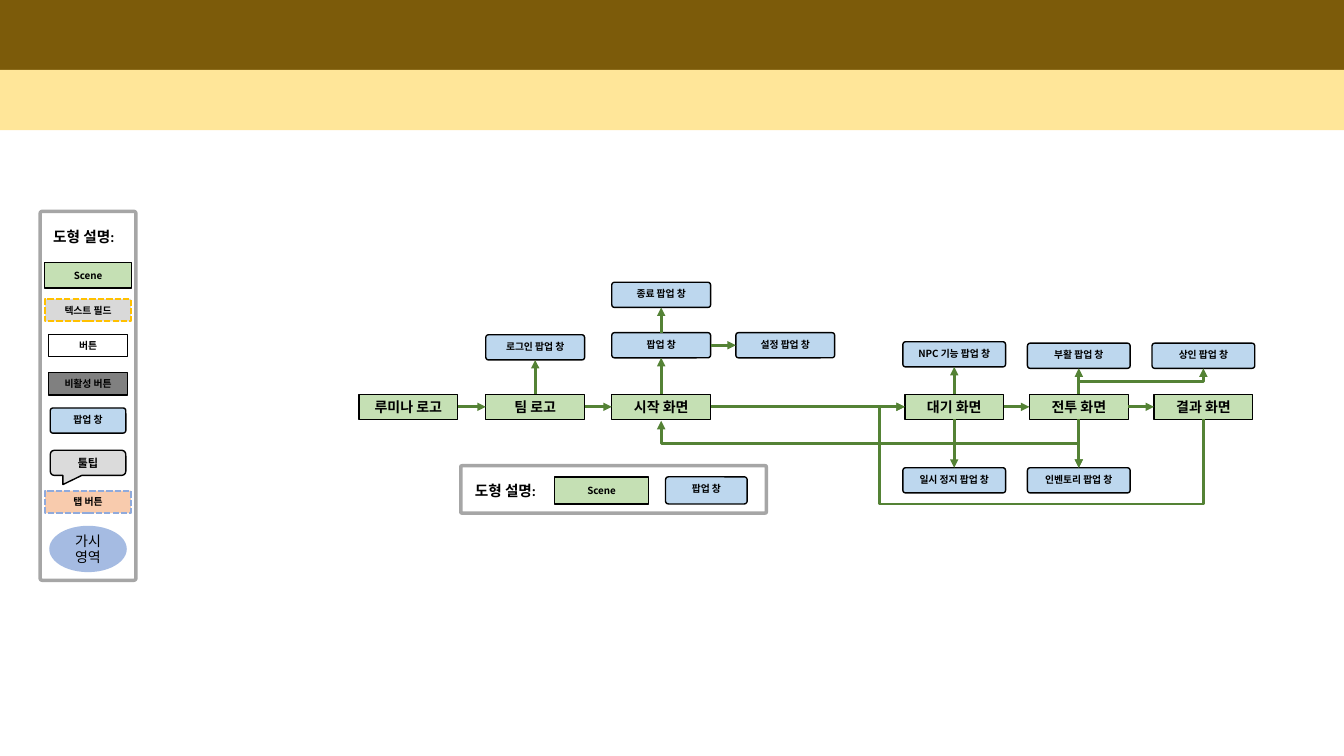
from lxml import etree
from pptx import Presentation
from pptx.dml.color import RGBColor
from pptx.enum.dml import MSO_LINE
from pptx.enum.shapes import MSO_CONNECTOR, MSO_SHAPE
from pptx.enum.text import MSO_ANCHOR, PP_ALIGN
from pptx.oxml.ns import qn
from pptx.util import Pt

RECT, ROUND, OVAL = MSO_SHAPE.RECTANGLE, MSO_SHAPE.ROUNDED_RECTANGLE, MSO_SHAPE.OVAL
CALLOUT = MSO_SHAPE.ROUNDED_RECTANGULAR_CALLOUT
STRAIGHT, ELBOW = MSO_CONNECTOR.STRAIGHT, MSO_CONNECTOR.ELBOW
MIDDLE, UPPER = MSO_ANCHOR.MIDDLE, MSO_ANCHOR.TOP
CENTER, LEFT_ALIGN = PP_ALIGN.CENTER, PP_ALIGN.LEFT
SYS_DASH = MSO_LINE.SQUARE_DOT
TOP, LEFT, BOTTOM, RIGHT = range(4)

BLACK = RGBColor(0x00, 0x00, 0x00)
WHITE = RGBColor(0xFF, 0xFF, 0xFF)
BROWN = RGBColor(0x7C, 0x5B, 0x0A)
CREAM = RGBColor(0xFF, 0xE6, 0x99)
SCENE_GREEN = RGBColor(0xC5, 0xE0, 0xB4)
ARROW_GREEN = RGBColor(0x54, 0x82, 0x35)
POPUP_BLUE = RGBColor(0xBD, 0xD7, 0xEE)
TOOLTIP_GRAY = RGBColor(0xDB, 0xDB, 0xDB)
FIELD_GRAY = RGBColor(0xD9, 0xD9, 0xD9)
DISABLED_GRAY = RGBColor(0x80, 0x80, 0x80)
FRAME_GRAY = RGBColor(0xA6, 0xA6, 0xA6)
GOLD = RGBColor(0xFF, 0xC0, 0x00)
TAB_ORANGE = RGBColor(0xF8, 0xCB, 0xAD)
TAB_BLUE = RGBColor(0x8F, 0xAA, 0xDC)
AREA_BLUE = RGBColor(0x44, 0x72, 0xC4)
NOTO, CALIBRI = "Noto Sans CJK KR", "Calibri"
TITLE = "도형 설명:"
SCENE_W, BOX_H = 70.6, 18


def put_text(sp, text, size=7, font=NOTO, bold=True, align=CENTER, anchor=MIDDLE):
    tf = sp.text_frame
    tf.word_wrap = True
    tf.vertical_anchor = anchor
    p = tf.paragraphs[0]
    p.alignment = align
    r = p.add_run()
    r.text = text
    r.font.size, r.font.bold, r.font.name = Pt(size), bold, font
    r.font.color.rgb = BLACK
    etree.SubElement(r.font._element, qn("a:ea"), typeface=NOTO)


def add_box(slide, kind, x, y, w, h, fill=None, line=None, width=1, adj=()):
    sp = slide.shapes.add_shape(kind, Pt(x), Pt(y), Pt(w), Pt(h))
    sp.shadow.inherit = False
    for i, value in enumerate(adj):
        sp.adjustments[i] = value
    if fill is None:
        sp.fill.background()
    else:
        sp.fill.solid()
        sp.fill.fore_color.rgb = fill
    if line is None:
        sp.line.fill.background()
    else:
        sp.line.color.rgb = line
        sp.line.width = Pt(width)
    return sp


def add_scene(slide, text, x, y, w=SCENE_W, h=BOX_H, size=10):
    sp = add_box(slide, RECT, x, y, w, h, SCENE_GREEN, BLACK)
    put_text(sp, text, size)
    return sp


def add_popup(slide, text, x, y, w=SCENE_W, h=BOX_H):
    sp = add_box(slide, ROUND, x, y, w, h, POPUP_BLUE, BLACK, adj=[0.109])
    put_text(sp, text, anchor=UPPER)
    return sp


def add_frame(slide, x, y, w, h):
    add_box(slide, ROUND, x, y, w, h, line=FRAME_GRAY, width=2.5, adj=[0.021])


def add_title(slide, x, y, w):
    tb = slide.shapes.add_textbox(Pt(x), Pt(y), Pt(w), Pt(20))
    put_text(tb, TITLE, 10.5, CALIBRI, align=LEFT_ALIGN, anchor=UPPER)


def style_arrow(cxn):
    cxn.line.color.rgb = ARROW_GREEN
    cxn.line.width = Pt(2)
    etree.SubElement(cxn.line._get_or_add_ln(), qn("a:tailEnd"), type="triangle")
    etree.SubElement(cxn._element.spPr, qn("a:effectLst"))


def join(slide, start, start_side, end, end_side):
    cxn = slide.shapes.add_connector(STRAIGHT, 0, 0, 0, 0)
    cxn.begin_connect(start, start_side)
    cxn.end_connect(end, end_side)
    style_arrow(cxn)


def bend(slide, x1, y1, x2, y2, *adj):
    """Elbow arrow that leaves its start vertically; adj are fractions of its height and width."""
    w, h = abs(y2 - y1), abs(x2 - x1)
    left, top = (x1 + x2 - w) / 2, (y1 + y2 - h) / 2
    cxn = slide.shapes.add_connector(ELBOW, Pt(left), Pt(top), Pt(left + w), Pt(top + h))
    spPr = cxn._element.spPr
    xfrm = spPr.find(qn("a:xfrm"))
    xfrm.set("rot", "5400000")
    if y2 < y1:
        xfrm.set("flipH", "1")
    if x2 > x1:
        xfrm.set("flipV", "1")
    geom = spPr.find(qn("a:prstGeom"))
    geom.set("prst", f"bentConnector{len(adj) + 2}")
    guides = geom.find(qn("a:avLst"))
    for i, value in enumerate(adj, 1):
        etree.SubElement(guides, qn("a:gd"), name=f"adj{i}", fmla=f"val {round(value * 100000)}")
    style_arrow(cxn)


def draw_header(slide, w):
    add_box(slide, RECT, 0, 0, w, 51, BROWN)
    add_box(slide, RECT, 0, 49.9, w, 43, CREAM)


def draw_shape_key(slide, x, y, w, h):
    mid = x + w / 2
    add_title(slide, x + 2.2, y + 7.9, 63.4)
    add_scene(slide, "Scene", mid - 31, y + 36.7, 62, size=7)
    for text, dy, width, fill, line, dashed in [
        ("텍스트 필드", 62.6, 61.2, FIELD_GRAY, GOLD, True),
        ("버튼", 87.8, 56.2, WHITE, BLACK, False),
        ("비활성 버튼", 115.2, 56.2, DISABLED_GRAY, BLACK, False),
        ("탭 버튼", 199.5, 61.2, TAB_ORANGE, TAB_BLUE, True),
    ]:
        sp = add_box(slide, RECT, mid - width / 2, y + dy, width, 16, fill, line,
                     1.5 if dashed else 1)
        if dashed:
            sp.line.dash_style = SYS_DASH
        put_text(sp, text)
    add_popup(slide, "팝업 창", mid - 27, y + 140.4, 54)
    tip = add_box(slide, CALLOUT, mid - 27, y + 170.6, 54, 18, TOOLTIP_GRAY, BLACK,
                  adj=[-0.332, 0.862, 0.167])
    put_text(tip, "툴팁", 8)
    area = add_box(slide, OVAL, mid - 27.7, y + 224.6, 55.4, 33.1, AREA_BLUE)
    color = area.fill._xPr.find(qn("a:solidFill"))[0]
    etree.SubElement(color, qn("a:alpha"), val="48000")
    put_text(area, "가시 영역", 10, CALIBRI, bold=False)
    add_frame(slide, x, y, w, h)


def draw_flow_key(slide, x, y, w, h):
    add_scene(slide, "Scene", x + 67, y + 7.9, 67, 19.4, 7)
    add_popup(slide, "팝업 창", x + 146.2, y + 7.9, 58.3, 19.4)
    add_frame(slide, x, y, w, h)
    add_title(slide, x + 2.9, y + 7.9, 68.4)


def draw_flow(slide, x, y):
    scene_y = y + 80
    floor = scene_y + BOX_H
    names = ["루미나 로고", "팀 로고", "시작 화면", "대기 화면", "전투 화면", "결과 화면"]
    offsets = [0, 90.7, 180.7, 390, 479, 568]
    scenes = [add_scene(slide, name, x + dx, scene_y) for name, dx in zip(names, offsets)]
    mids = [x + dx + SCENE_W / 2 for dx in offsets]
    _, team, start, lobby, battle, result = scenes
    _, team_x, start_x, lobby_x, battle_x, result_x = mids

    def popup(text, mid, dy, w=SCENE_W):
        return add_popup(slide, text, mid - w / 2, y + dy, w)

    login = popup("로그인 팝업 창", team_x, 37.5)
    menu = popup("팝업 창", start_x, 36)
    settings = popup("설정 팝업 창", start_x + 88.6, 36)
    leave = popup("종료 팝업 창", start_x, 0)
    npc = popup("NPC 기능 팝업 창", lobby_x, 42.5, 73.4)
    pause = popup("일시 정지 팝업 창", lobby_x, 132.5, 73.4)
    inventory = popup("인벤토리 팝업 창", battle_x, 132.5, 73.4)
    revive = popup("부활 팝업 창", battle_x, 43.5, 73.4)
    popup("상인 팝업 창", result_x, 43.5, 73.4)

    for a, b in [*zip(scenes, scenes[1:]), (menu, settings)]:
        join(slide, a, RIGHT, b, LEFT)
    for a, b in [(team, login), (start, menu), (menu, leave), (lobby, npc), (battle, revive)]:
        join(slide, a, TOP, b, BOTTOM)
    for a, b in [(lobby, pause), (battle, inventory)]:
        join(slide, a, BOTTOM, b, TOP)

    bend(slide, result_x, floor, x + offsets[3], scene_y + BOX_H / 2, -6.7, 1.084)
    bend(slide, lobby_x, floor, start_x, floor + 1, 17.5)
    bend(slide, lobby_x, floor, battle_x, y + 132.5, 0.5)
    bend(slide, battle_x, scene_y, result_x, y + 61.5, 0.5)


def main():
    prs = Presentation()
    prs.slide_width, prs.slide_height = Pt(960), Pt(540)
    slide = prs.slides.add_slide(prs.slide_layouts[6])
    draw_header(slide, 960)
    draw_shape_key(slide, 28.7, 151, 68.4, 263.5)
    draw_flow(slide, 256.3, 201.6)
    draw_flow_key(slide, 329.2, 332.7, 218.2, 33.8)
    prs.save("out.pptx")


if __name__ == "__main__":
    main()
